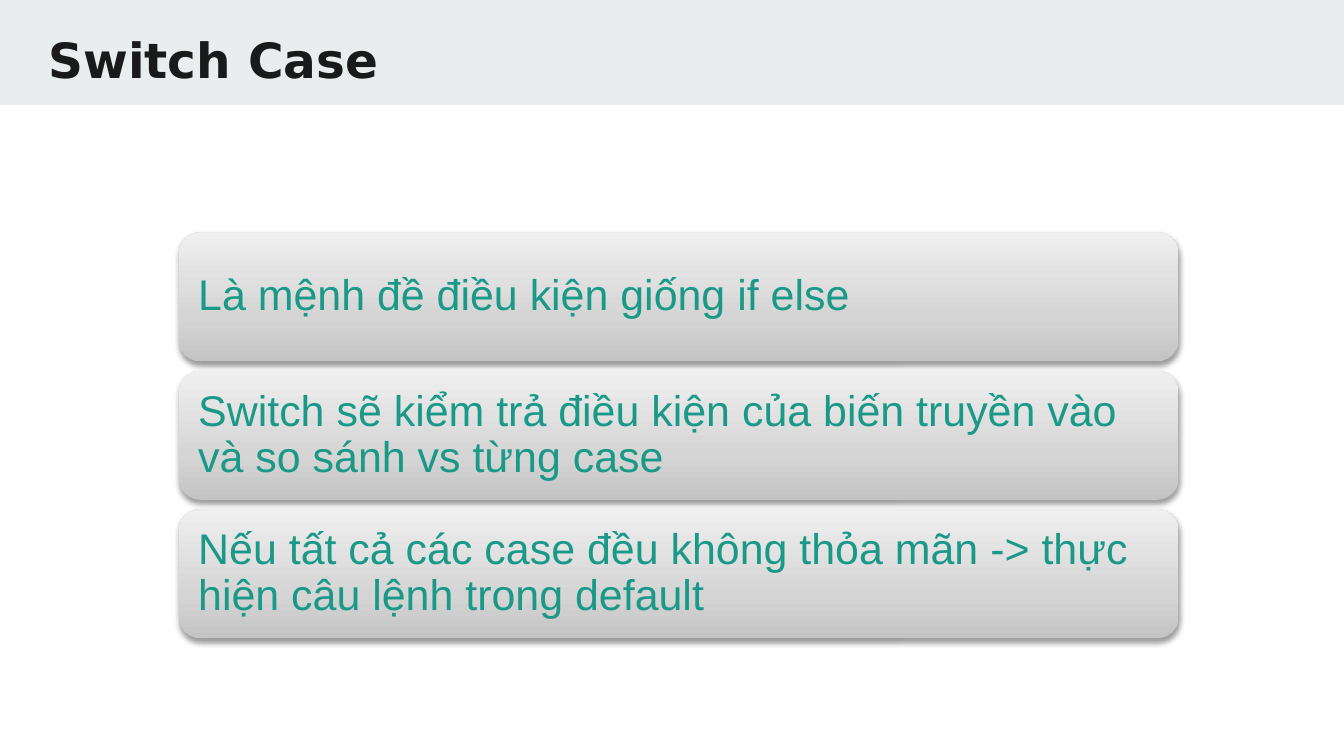
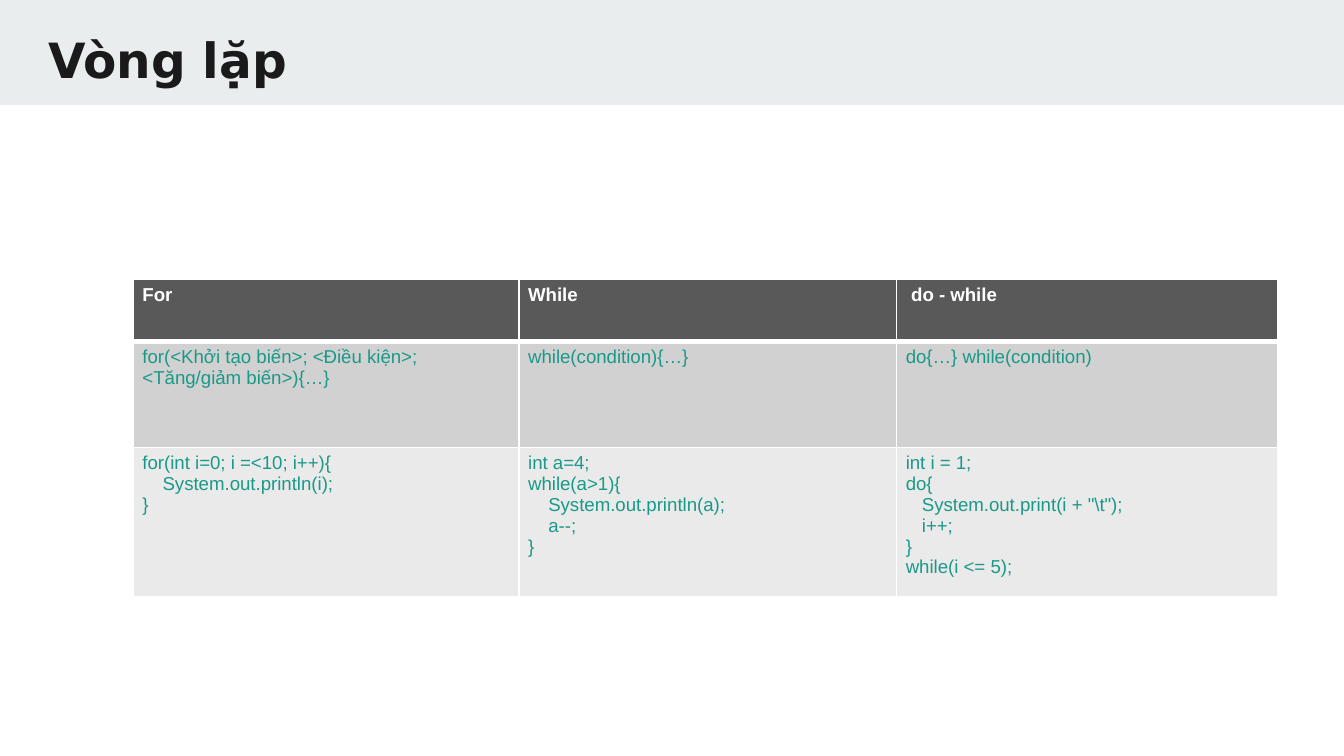
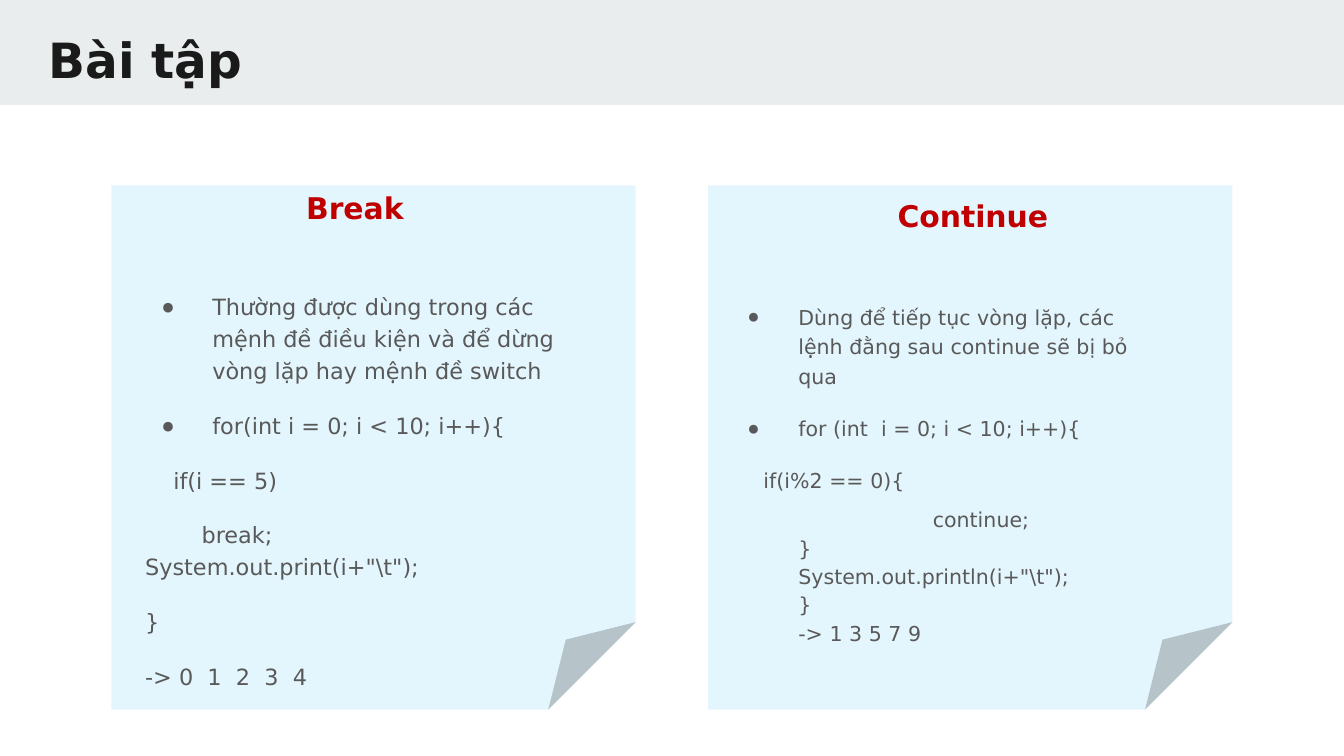
from dataclasses import dataclass

from lxml.etree import SubElement
from pptx import Presentation
from pptx.dml.color import RGBColor as RGB
from pptx.enum.shapes import MSO_SHAPE as Preset
from pptx.enum.text import MSO_ANCHOR as Anchor, MSO_AUTO_SIZE as AutoSize, PP_ALIGN as Align
from pptx.oxml import parse_xml
from pptx.oxml.ns import nsdecls, qn
from pptx.util import Inches, Pt


@dataclass(frozen=True)
class Theme:
    # Colours
    band: str = "E9EDEE"
    ink: str = "1A1A1A"
    teal: str = "1A9988"
    grey: str = "595959"
    red: str = "C00000"
    white: str = "FFFFFF"
    note: str = "E4F6FD"
    row_fills: tuple = ("595959", "D1D1D1", "EAEAEA")
    bar_stops: tuple = ((0, "C4C4C4"), (35, "D5D5D5"), (100, "EFEFEF"))
    # Fonts and type sizes
    head_font: str = "DejaVu Sans"
    text_font: str = "Arial"
    title_size: int = 26
    bar_size: int = 23
    note_title_size: int = 16
    cell_size: int = 10


TITLE_ONLY, TWO_CONTENT = 5, 3


def add_text(frame, text, *, size, color, font, bold=False, left=0, first=0, bullet=None,
             spacing=1.0, before=0, after=0):
    """Add a paragraph; left and first are indents in inches."""
    paragraph = frame.add_paragraph() if frame.text else frame.paragraphs[0]
    paragraph.text = text
    paragraph.alignment = Align.LEFT
    paragraph.line_spacing = spacing
    paragraph.space_before, paragraph.space_after = Pt(before), Pt(after)
    for run in paragraph.runs:
        run.font.name, run.font.size, run.font.bold = font, Pt(size), bold
        run.font.color.rgb = RGB.from_string(color)
    props = paragraph._p.get_or_add_pPr()
    props.set("marL", str(Inches(left)))
    props.set("indent", str(Inches(first)))
    if bullet:
        bullet_color = SubElement(props, qn("a:buClr"))
        SubElement(bullet_color, qn("a:srgbClr"), val=color)
        SubElement(props, qn("a:buChar"), char=bullet)
    else:
        SubElement(props, qn("a:buNone"))


class Deck:
    def __init__(self, theme):
        self.theme = theme
        self.prs = Presentation()
        self.prs.slide_width = Inches(10)
        self.prs.slide_height = Inches(10 * 9 / 16)
        self.slide = None

    def new_slide(self, title, layout=TITLE_ONLY):
        theme = self.theme
        self.slide = self.prs.slides.add_slide(self.prs.slide_layouts[layout])
        self.shape(Preset.RECTANGLE, 0, 0, 10, 0.78, fill=theme.band, behind=True)
        frame = self.place(self.slide.shapes.title, 0.26, 0.12, 9.52, 0.59)
        add_text(frame, title, size=theme.title_size, color=theme.ink,
                 font=theme.head_font, bold=True)

    def frame(self, shape, anchor=Anchor.TOP):
        frame = shape.text_frame
        frame.word_wrap, frame.auto_size = True, AutoSize.NONE
        frame.vertical_anchor = anchor
        frame.margin_left = frame.margin_right = Inches(0.1)
        frame.margin_top = frame.margin_bottom = Inches(0.1)
        return frame

    def place(self, placeholder, x, y, w, h):
        placeholder.left, placeholder.top = Inches(x), Inches(y)
        placeholder.width, placeholder.height = Inches(w), Inches(h)
        return self.frame(placeholder)

    def shape(self, preset, x, y, w, h, fill=None, behind=False):
        shapes = self.slide.shapes
        shape = shapes.add_shape(preset, Inches(x), Inches(y), Inches(w), Inches(h))
        shape.shadow.inherit = False
        shape.line.fill.background()
        if fill:
            shape.fill.solid()
            shape.fill.fore_color.rgb = RGB.from_string(fill)
        if behind:
            shapes.element.insert(2, shape.element)
        return shape

    def bar(self, text, x, y, w, h):
        """Rounded bar with an upward gradient and a soft shadow."""
        theme = self.theme
        bar = self.shape(Preset.ROUNDED_RECTANGLE, x, y, w, h)
        stops = "".join(f'<a:gs pos="{pos * 1000}"><a:srgbClr val="{color}"/></a:gs>'
                        for pos, color in theme.bar_stops)
        gradient = parse_xml(f'<a:gradFill {nsdecls("a")} rotWithShape="1"><a:gsLst>{stops}'
                             '</a:gsLst><a:lin ang="16200000" scaled="0"/></a:gradFill>')
        props = bar.element.spPr
        props.find(qn("a:prstGeom")).addnext(gradient)
        shadow = SubElement(props.find(qn("a:effectLst")), qn("a:outerShdw"), dir="5400000",
                            blurRad=str(Pt(3.1)), dist=str(Pt(1.6)), rotWithShape="0")
        shadow_color = SubElement(shadow, qn("a:srgbClr"), val="000000")
        SubElement(shadow_color, qn("a:alpha"), val="38000")
        add_text(self.frame(bar, anchor=Anchor.MIDDLE), text, size=theme.bar_size,
                 color=theme.teal, font=theme.text_font, spacing=0.9)

    def table(self, rows, x, y, widths, heights):
        """Each cell is a list of (text, indent) lines."""
        theme = self.theme
        table = self.slide.shapes.add_table(
            len(rows), len(widths), Inches(x), Inches(y),
            Inches(sum(widths)), Inches(sum(heights))).table
        table.horz_banding = False
        for column, width in zip(table.columns, widths):
            column.width = Inches(width)
        for r, (row, height) in enumerate(zip(rows, heights)):
            table.rows[r].height = Inches(height)
            for c, lines in enumerate(row):
                cell = table.cell(r, c)
                cell.margin_left = cell.margin_right = Inches(0.07)
                cell.margin_top = cell.margin_bottom = Inches(0.04)
                for text, indent in lines:
                    add_text(cell.text_frame, text, size=theme.cell_size, font=theme.text_font,
                             color=theme.teal if r else theme.white, bold=r == 0, left=indent)
                self.borders(cell, top=3 if r == 1 else 1, bottom=3 if r == 0 else 1)
                cell.fill.solid()
                cell.fill.fore_color.rgb = RGB.from_string(theme.row_fills[r])

    def borders(self, cell, top, bottom):
        props = cell._tc.get_or_add_tcPr()
        for side, width in (("L", 1), ("R", 1), ("T", top), ("B", bottom)):
            line = SubElement(props, qn(f"a:ln{side}"), w=str(Pt(width)))
            fill = SubElement(line, qn("a:solidFill"))
            SubElement(fill, qn("a:srgbClr"), val=self.theme.white)

    def note_title(self, text, x, y, w):
        theme = self.theme
        box = self.slide.shapes.add_textbox(Inches(x), Inches(y), Inches(w), Inches(0.7))
        add_text(self.frame(box), text, size=theme.note_title_size, color=theme.red, bold=True,
                 font=theme.head_font, left=0.12, spacing=1.2, before=6, after=6)

    def note_body(self, slot, lines, x, y, size):
        theme = self.theme
        frame = self.place(self.slide.placeholders[slot], x, y, 3.35, 3.03)
        for text, style in lines:
            add_text(frame, text, size=size, color=theme.grey, font=theme.head_font, **style)


def switch_slide(deck):
    deck.new_slide("Switch Case")
    points = ("Là mệnh đề điều kiện giống if else",
              "Switch sẽ kiểm trả điều kiện của biến truyền vào và so sánh vs từng case",
              "Nếu tất cả các case đều không thỏa mãn -> thực hiện câu lệnh trong default")
    for i, point in enumerate(points):
        deck.bar(point, 1.33, 1.73 + 1.03 * i, 7.44, 0.96)


def loops_slide(deck):
    deck.new_slide("Vòng lặp")
    names = [[("For", 0)], [("While", 0)], [("do - while", 0.04)]]
    syntax = [[("for(<Khởi tạo biến>; <Điều kiện>; <Tăng/giảm biến>){…}", 0)],
              [("while(condition){…}", 0)],
              [("do{…} while(condition)", 0)]]
    examples = [
        [("for(int i=0; i =<10; i++){", 0), ("System.out.println(i);", 0.15), ("}", 0)],
        [("int a=4;", 0), ("while(a>1){", 0), ("System.out.println(a);", 0.15),
         ("a--;", 0.15), ("}", 0)],
        [("int i = 1;", 0), ("do{", 0), (r'System.out.print(i + "\t");', 0.12),
         ("i++;", 0.12), ("}", 0), ("while(i <= 5);", 0)],
    ]
    deck.table([names, syntax, examples], 0.99, 2.08, (2.87, 2.81, 2.84), (0.46, 0.79, 1.11))


def exercise_slide(deck):
    deck.new_slide("Bài tập", TWO_CONTENT)
    for x in (0.83, 5.27):
        card = deck.shape(Preset.FOLDED_CORNER, x, 1.38, 3.9, 3.9, fill=deck.theme.note)
        deck.slide.shapes.title.element.addprevious(card.element)

    # Paragraph styles of the notes
    plain = dict(spacing=1.2, before=6, after=6)
    point = dict(plain, left=0.5, first=-0.38, bullet="●")
    nested = dict(spacing=1.15, left=0.5)

    deck.note_body(1, [
        ("Thường được dùng trong các mệnh đề điều kiện và để dừng vòng lặp hay mệnh đề switch",
         point),
        ("for(int i = 0; i < 10; i++){", point),
        ("if(i == 5)", dict(plain, left=0.21)),
        ('break;\vSystem.out.print(i+"\\t");', dict(plain, first=0.42)),
        ("}", plain),
        ("-> 0  1  2  3  4", plain),
    ], 0.98, 2.04, size=12)
    deck.note_body(2, [
        ("Dùng để tiếp tục vòng lặp, các lệnh đằng sau continue sẽ bị bỏ qua", point),
        ("for (int  i = 0; i < 10; i++){", point),
        ("if(i%2 == 0){", dict(plain, left=0.24)),
        ("continue;", dict(nested, left=1.5)),
        ("}", nested),
        (r'System.out.println(i+"\t");', nested),
        ("}", nested),
        ("-> 1 3 5 7 9", nested),
    ], 5.34, 2.13, size=11)
    deck.note_title("Break", 2.06, 1.26, 1.06)
    deck.note_title("Continue", 6.46, 1.32, 1.49)


def main():
    deck = Deck(Theme())
    switch_slide(deck)
    loops_slide(deck)
    exercise_slide(deck)
    deck.prs.save("out.pptx")


if __name__ == "__main__":
    main()
